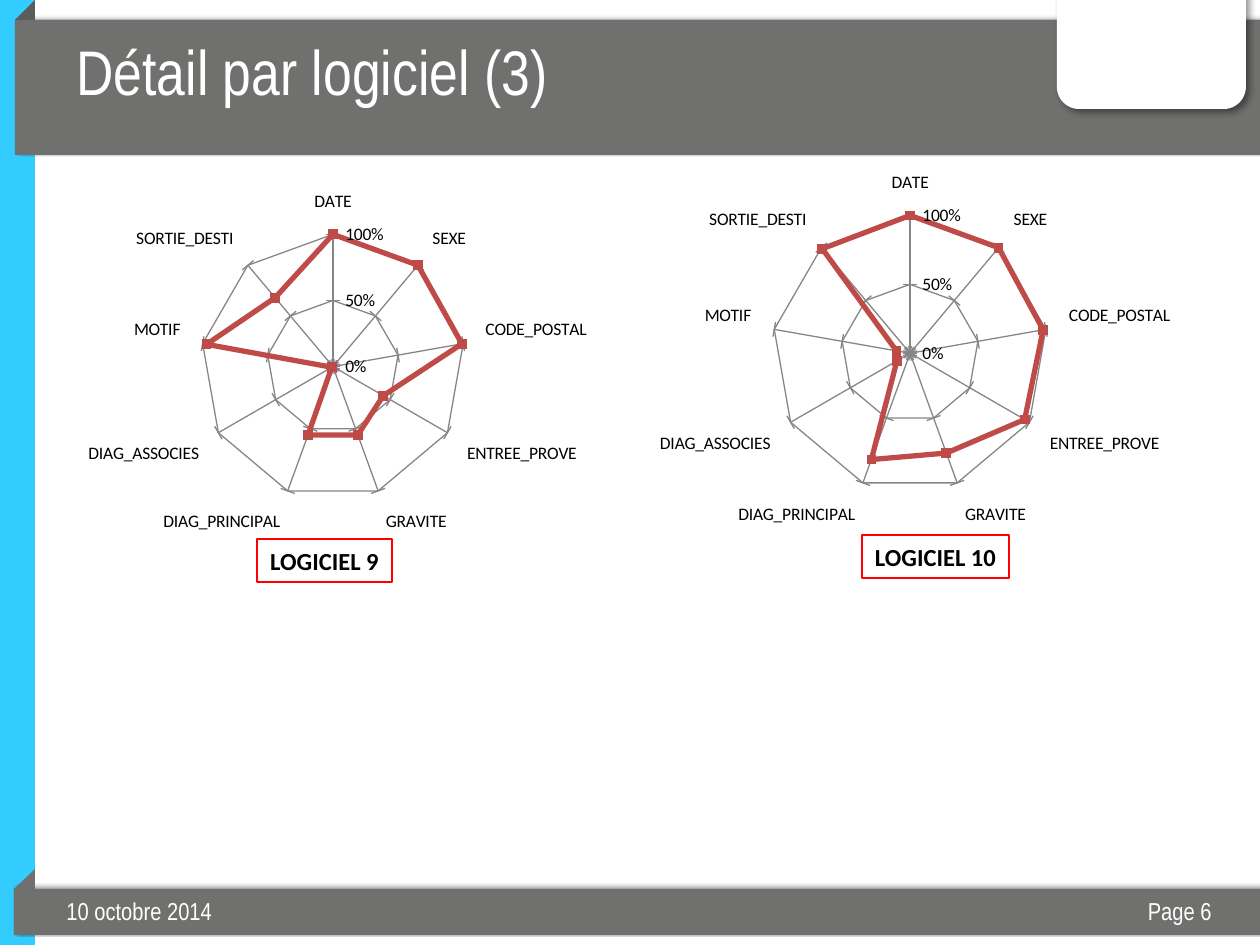
from lxml import etree
from pptx import Presentation
from pptx.chart.data import CategoryChartData
from pptx.dml.color import RGBColor
from pptx.enum.chart import XL_CHART_TYPE, XL_MARKER_STYLE, XL_TICK_MARK
from pptx.enum.shapes import MSO_SHAPE
from pptx.enum.text import MSO_ANCHOR, PP_ALIGN
from pptx.util import Pt

RADAR = XL_CHART_TYPE.RADAR_MARKERS
SQUARE = XL_MARKER_STYLE.SQUARE
CROSS, OUTSIDE = XL_TICK_MARK.CROSS, XL_TICK_MARK.OUTSIDE
RECTANGLE, ROUNDED = MSO_SHAPE.RECTANGLE, MSO_SHAPE.ROUNDED_RECTANGLE
TOP, MIDDLE = MSO_ANCHOR.TOP, MSO_ANCHOR.MIDDLE
LEFT, CENTER, RIGHT = PP_ALIGN.LEFT, PP_ALIGN.CENTER, PP_ALIGN.RIGHT

SCALE = 914400 // 126
WIDTH, HEIGHT = 1260, 945
TITLE_ONLY = 5

THEME = {
    "accent": "33CCFF", "band": "70706F", "fold": "5C5C5C", "white": "FFFFFF",
    "black": "000000", "series": "BE4B48", "grid": "868686", "frame": "FF0000",
    "heading_font": "Arial Narrow", "body_font": "Calibri",
    "title_size": 36, "label_size": 14, "chart_size": 10,
}

TITLE = ("Détail par logiciel (3)", (64, 26, 963, 110))
FOOTERS = [
    ("10 octobre 2014", (54, 890, 198, 40), LEFT),
    ("Page 6", (1106, 890, 118, 40), RIGHT),
]
BAND_SHADOW = {"alpha": 41, "blur": 2, "distance": 2, "angle": 320}
TAB_SHADOW = {"alpha": 40, "blur": 4, "distance": 3, "angle": 45}
PANELS = [
    (RECTANGLE, (0, 0, 35, 945), "accent", None),
    (RECTANGLE, (14, 889, 1246, 46), "band", BAND_SHADOW),
    (RECTANGLE, (15, 20, 1245, 135), "band", BAND_SHADOW),
    (ROUNDED, (1057, -24, 189, 133), "white", TAB_SHADOW),
]
FOLDS = [
    ([(15, 20), (35, 0), (35, 20)], "fold"),
    ([(14, 889), (35, 869), (35, 889)], "band"),
]
FIELDS = ["DATE", "SEXE", "CODE_POSTAL", "ENTREE_PROVE", "GRAVITE",
          "DIAG_PRINCIPAL", "DIAG_ASSOCIES", "MOTIF", "SORTIE_DESTI"]
SOFTWARE = [
    {"name": "LOGICIEL 9", "label": (257, 539, 135, 43), "chart": (35, 185, 605, 354),
     "values": [1, 1, 0.99, 0.44, 0.55, 0.55, 0.01, 0.97, 0.68]},
    {"name": "LOGICIEL 10", "label": (862, 535, 147, 43), "chart": (610, 165, 610, 367),
     "values": [1, 1, 0.98, 0.96, 0.77, 0.82, 0.11, 0.1, 0.99]},
]


def emu(box):
    return [value * SCALE for value in box]


def color(name):
    return RGBColor.from_string(THEME[name])


def paint(shape, fill, shadow=None):
    shape.fill.solid()
    shape.fill.fore_color.rgb = color(fill)
    shape.line.fill.background()
    shape.shadow.inherit = False
    if shadow:
        effects = shape.element.spPr.find("{*}effectLst")
        namespace = etree.QName(effects).namespace
        outer = etree.SubElement(
            effects, f"{{{namespace}}}outerShdw", blurRad=str(Pt(shadow["blur"])),
            dist=str(Pt(shadow["distance"])), dir=str(shadow["angle"] * 60000),
            algn="ctr", rotWithShape="0")
        tint = etree.SubElement(outer, f"{{{namespace}}}srgbClr", val=THEME["black"])
        etree.SubElement(tint, f"{{{namespace}}}alpha", val=str(shadow["alpha"] * 1000))


def write(shape, text, font="heading_font", size="label_size", ink="white",
          bold=False, align=LEFT, anchor=TOP, wrap=True):
    frame = shape.text_frame
    frame.word_wrap = wrap
    frame.vertical_anchor = anchor
    para = frame.paragraphs[0]
    para.alignment = align
    span = para.add_run()
    span.text = text
    span.font.name = THEME[font]
    span.font.size = Pt(THEME[size])
    span.font.bold = bold
    span.font.color.rgb = color(ink)


def add_radar(page, software):
    data = CategoryChartData(number_format="0%")
    data.categories = FIELDS
    data.add_series("Series 1", software["values"])
    chart = page.shapes.add_chart(RADAR, *emu(software["chart"]), data).chart
    chart.has_legend = False
    chart.has_title = False
    chart.font.name = THEME["body_font"]
    chart.font.size = Pt(THEME["chart_size"])
    chart.font.color.rgb = color("black")
    plot = chart.plots[0]
    plot.vary_by_categories = False
    scale = chart.value_axis
    scale.minimum_scale, scale.maximum_scale, scale.major_unit = 0, 1, 0.5
    scale.tick_labels.number_format = "0%"
    scale.tick_labels.number_format_is_linked = False
    for axis, tick in ((chart.category_axis, OUTSIDE), (scale, CROSS)):
        axis.major_tick_mark = tick
        axis.has_major_gridlines = True
        for line in (axis.format.line, axis.major_gridlines.format.line):
            line.color.rgb = color("grid")
            line.width = Pt(0.75)
    series = plot.series[0]
    series.format.line.color.rgb = color("series")
    series.format.line.width = Pt(3)
    marker = series.marker
    marker.style = SQUARE
    marker.size = 5
    marker.format.fill.solid()
    marker.format.fill.fore_color.rgb = color("series")
    marker.format.line.color.rgb = color("series")


deck = Presentation()
deck.slide_width, deck.slide_height = emu((WIDTH, HEIGHT))
page = deck.slides.add_slide(deck.slide_layouts[TITLE_ONLY])
title = page.shapes.title

for kind, box, fill, shadow in PANELS:
    paint(page.shapes.add_shape(kind, *emu(box)), fill, shadow)

for points, fill in FOLDS:
    outline = page.shapes.build_freeform(*points[0], scale=SCALE)
    outline.add_line_segments(points[1:], close=True)
    paint(outline.convert_to_shape(), fill)

text, box = TITLE
title.left, title.top, title.width, title.height = emu(box)
write(title, text, size="title_size")
page.shapes.element.append(title.element)

for text, box, align in FOOTERS:
    write(page.shapes.add_textbox(*emu(box)), text, align=align)

for software in SOFTWARE:
    label = page.shapes.add_shape(RECTANGLE, *emu(software["label"]))
    label.shadow.inherit = False
    label.fill.background()
    label.line.color.rgb = color("frame")
    label.line.width = Pt(0.75)
    write(label, software["name"], font="body_font", ink="black", bold=True,
          align=CENTER, anchor=MIDDLE, wrap=False)
    add_radar(page, software)

deck.save("out.pptx")
